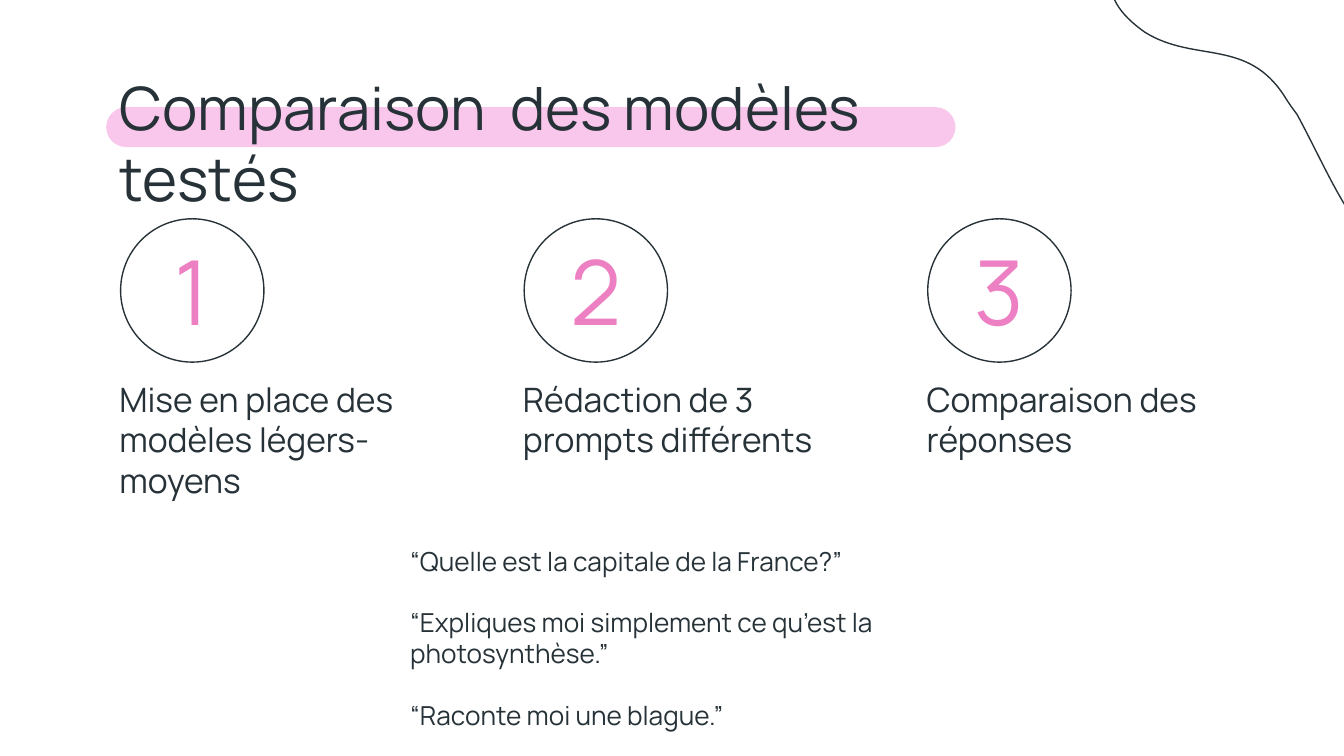
"""Build a slide comparing tested models in three numbered steps."""
from math import cos, radians, sin

from lxml import etree
from pptx import Presentation
from pptx.dml.color import RGBColor
from pptx.enum.shapes import MSO_SHAPE
from pptx.enum.text import MSO_ANCHOR, PP_ALIGN
from pptx.oxml.ns import qn
from pptx.util import Pt

OVAL, PILL = MSO_SHAPE.OVAL, MSO_SHAPE.ROUNDED_RECTANGLE
TOP, MIDDLE = MSO_ANCHOR.TOP, MSO_ANCHOR.MIDDLE
LEFT, CENTER = PP_ALIGN.LEFT, PP_ALIGN.CENTER
INK = RGBColor(0x26, 0x32, 0x38)
PINK = RGBColor(0xED, 0x80, 0xC3)
PALE = RGBColor(0xF9, 0xC7, 0xEB)

deck = Presentation()
deck.slide_width, deck.slide_height = Pt(720), Pt(405)
slide = deck.slides.add_slide(deck.slide_layouts[6])
shapes = slide.shapes


def write(text, box, size, color=INK, align=LEFT, anchor=TOP, after=0):
    frame = shapes.add_textbox(*map(Pt, box)).text_frame
    frame.word_wrap = True
    frame.vertical_anchor = anchor
    frame.margin_left = frame.margin_right = Pt(7.2)
    frame.margin_top = frame.margin_bottom = Pt(7.2)
    frame.text = text
    for para in frame.paragraphs:
        para.alignment = align
        para.space_after = Pt(after)
        font = para.runs[0].font
        font.name, font.size = "Manrope", Pt(size)
        font.color.rgb = color


def outline(shape):
    shape.shadow.inherit = False
    shape.fill.background()
    shape.line.color.rgb = INK
    shape.line.width = Pt(0.75)


band = shapes.add_shape(PILL, Pt(56.9), Pt(57.4), Pt(455), Pt(21.4))
band.adjustments[0] = 0.5
band.shadow.inherit = False
band.fill.solid()
band.fill.fore_color.rgb = PALE
band.line.fill.background()

knots = [
    (598.3, 2.2),
    (601.2, 7.2), (606.2, 12.2), (613.4, 17.3),
    (640.1, 33.8), (668.2, 20.2), (688.3, 51.8),
    (690.5, 55.4), (692.6, 58.3), (694.8, 61.2),
    (703.4, 77), (710.6, 92.9), (718.6, 106.6),
    (728.6, 123.8), (740.2, 139), (761, 151.9),
    (796.3, 172.8), (824.4, 164.9), (850.3, 141.8),
    (895, 102.2), (892.8, 45.4), (864, -5),
    (851.8, -25.9), (834.5, -46.1), (813.6, -63.4),
    (748.1, -115.9), (668.9, -113), (617.8, -62.6),
    (601.9, -46.8), (585.4, -20.2), (598.3, 2.2),
]
TURN = 239.9
x, y, wide, high = 588.2, -90.7, 318.2, 234
mid_x, mid_y = x + wide / 2, y + high / 2
c, s = cos(radians(TURN)), sin(radians(TURN))
points = [(Pt(wide / 2 + (px - mid_x) * c + (py - mid_y) * s),
           Pt(high / 2 - (px - mid_x) * s + (py - mid_y) * c))
          for px, py in knots]

pen = shapes.build_freeform(*points[0])
pen.add_line_segments(points[3:-1:3], close=True)
blob = pen.convert_to_shape()
blob.left, blob.top, blob.width, blob.height = map(Pt, (x, y, wide, high))
blob.rotation = TURN
outline(blob)
route = blob.element.find(".//" + qn("a:path"))
for part in list(route):
    route.remove(part)
route.set("w", str(Pt(wide)))
route.set("h", str(Pt(high)))
for index, (px, py) in enumerate(points):
    if index == 0:
        part = etree.SubElement(route, qn("a:moveTo"))
    elif index % 3 == 1:
        part = etree.SubElement(route, qn("a:cubicBezTo"))
    etree.SubElement(part, qn("a:pt"), x=str(px), y=str(py))
etree.SubElement(route, qn("a:close"))

write("Comparaison  des modèles testés", (56.9, 30.5, 491, 48.2), 32)

items = [
    ("Mise en place des modèles légers-moyens", 82.8),
    ("Rédaction de 3 prompts différents", 76.3),
    ("Comparaison des réponses", 68.4),
]
for index, (label, height) in enumerate(items):
    left = 56.9 + 216.2 * index
    ring = shapes.add_shape(OVAL, Pt(left + 7.7), Pt(117.2), Pt(76.8), Pt(76.8))
    outline(ring)
    write(str(index + 1), (left + 11.3, 127.7, 69.8, 55.4), 48,
          color=PINK, align=CENTER, anchor=MIDDLE)
    write(label, (left, 195.8, 173.5, height), 18, after=16)

prompts = [
    "“Quelle est la capitale de la France?”",
    "“Expliques moi simplement ce qu’est la photosynthèse.”",
    "“Raconte moi une blague.”",
]
write("\n".join(prompts), (212.7, 284.9, 276.5, 104.4), 14, after=16)

deck.save("out.pptx")
